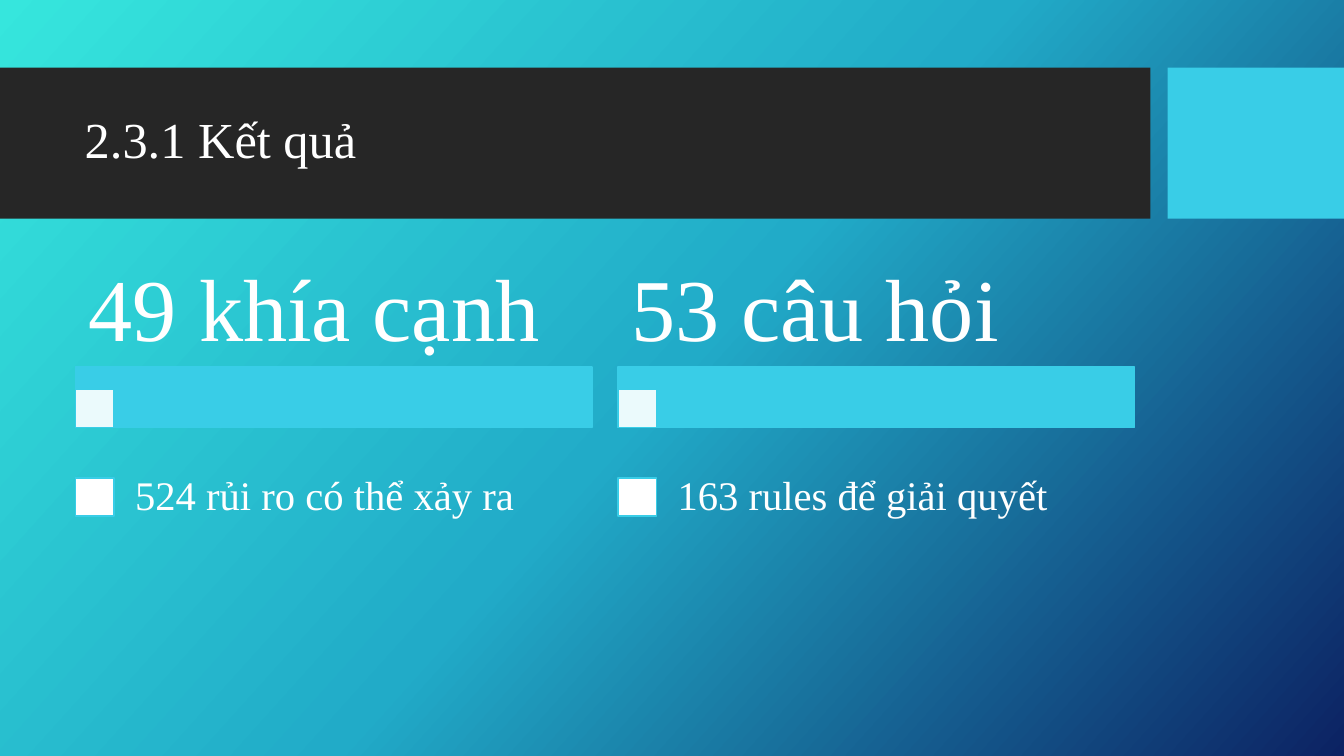
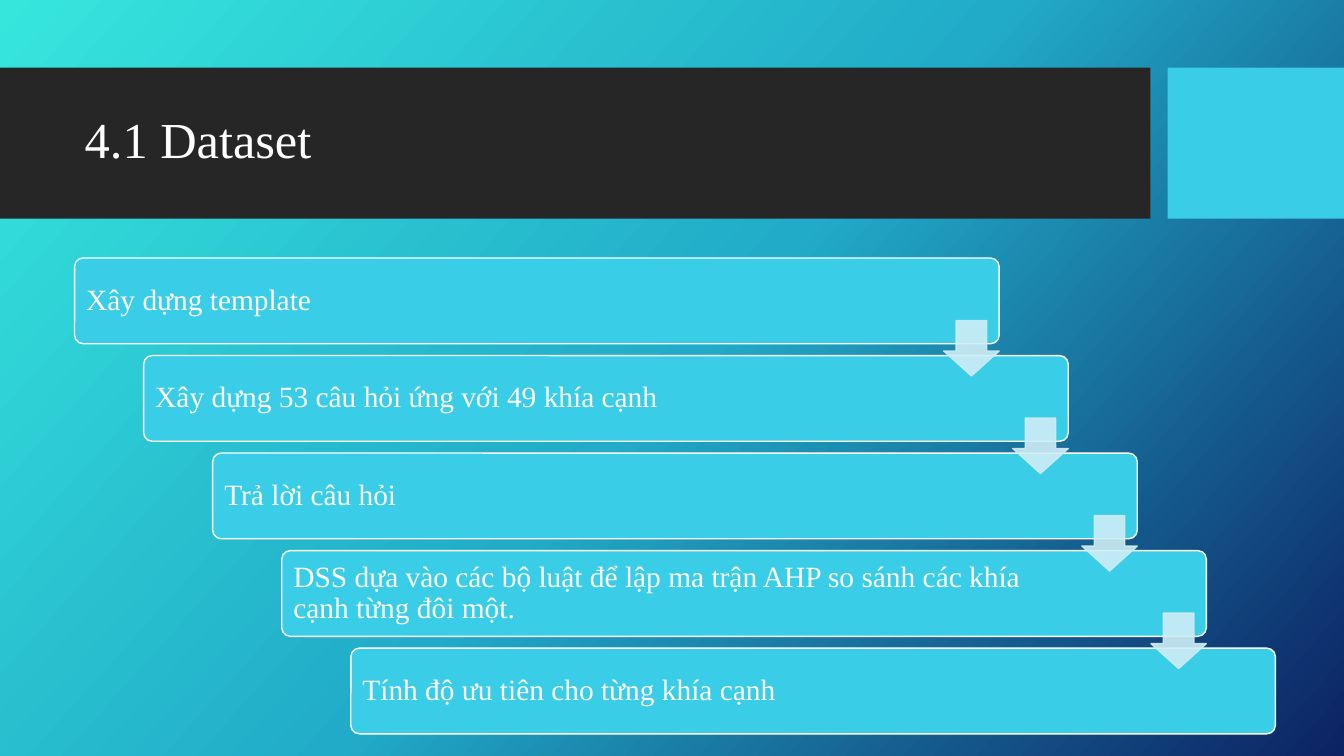
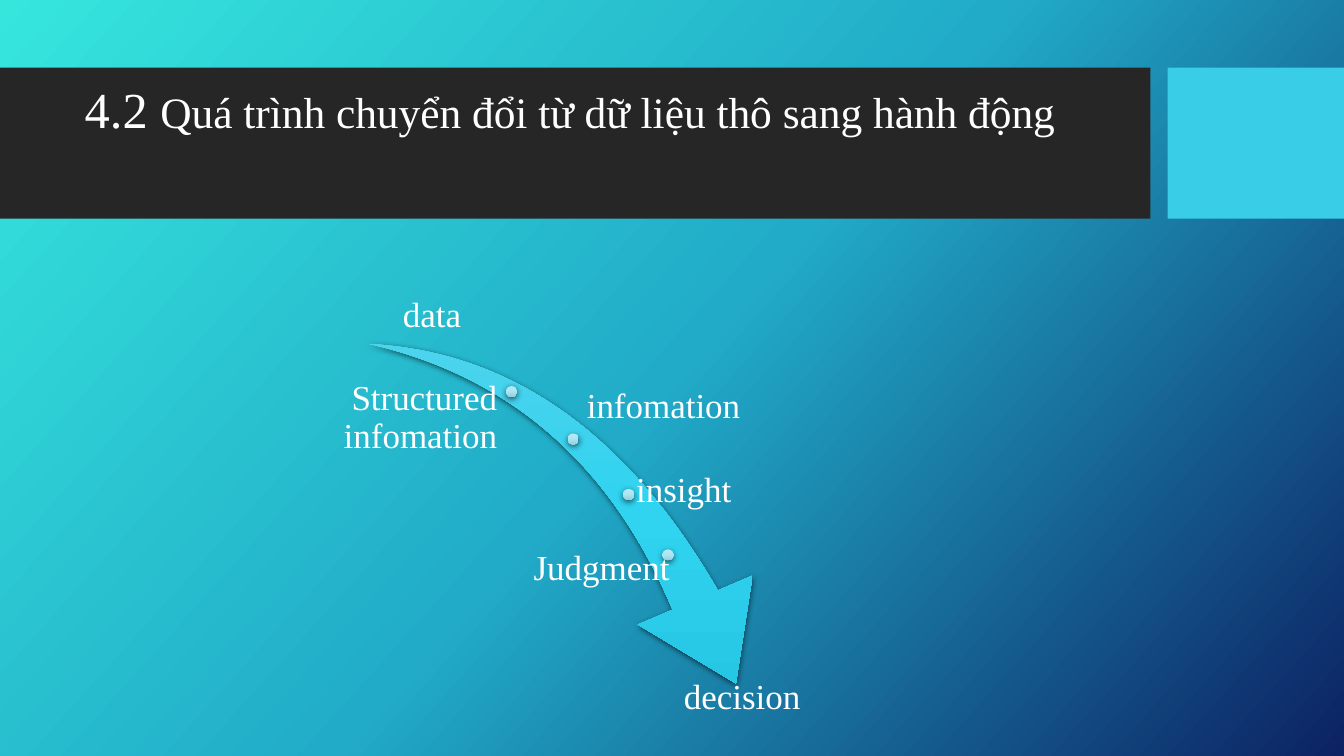
from lxml.etree import SubElement
from pptx import Presentation
from pptx.dml.color import RGBColor
from pptx.enum.shapes import MSO_SHAPE
from pptx.enum.text import MSO_ANCHOR, MSO_AUTO_SIZE, PP_ALIGN
from pptx.oxml.ns import qn
from pptx.util import Inches, Pt

# Shared look
FONT = "Times New Roman"
WHITE, DARK, CYAN, PALE = "FFFFFF", "262626", "39CDE7", "CEEDF6"
BACKGROUND = [(0, "36E6DD"), (50, "21ABC8"), (100, "0C2263")]
SWOOSH = [(0, "5DD3EB"), (50, "30D3F0"), (100, "21C2DF")]
DOT = [(0, "BBE8F4"), (50, "ABE5F4"), (100, "94CEDD")]
BANDS = [((0, 0.67, 11.41, 1.5), DARK), ((11.58, 0.67, 1.75, 1.5), CYAN)]
TITLE_BOX = (0.74, 0.82, 10.51, 1.18)

# Content
RESULTS_TITLE = "2.3.1 Kết quả"
RESULTS = [
    ("49 khía cạnh", "524 rủi ro có thể xảy ra"),
    ("53 câu hỏi", "163 rules để giải quyết"),
]
DATASET_TITLE = "4.1 Dataset"
STEPS = [
    "Xây dựng template",
    "Xây dựng 53 câu hỏi ứng với 49 khía cạnh",
    "Trả lời câu hỏi",
    "DSS dựa vào các bộ luật để lập ma trận AHP so sánh các khía cạnh từng đôi một.",
    "Tính độ ưu tiên cho từng khía cạnh",
]
PROCESS_NUMBER = "4.2 "
PROCESS_TITLE = "Quá trình chuyển đổi từ dữ liệu thô sang hành động"
DOTS = [(5.02, 3.83), (5.63, 4.3), (6.18, 4.85), (6.57, 5.45)]
LABELS = [  # text, left, top, width, alignment, anchor
    ("data", 3.28, 2.56, 2.01, PP_ALIGN.CENTER, MSO_ANCHOR.BOTTOM),
    ("infomation", 5.79, 3.64, 2.99, PP_ALIGN.LEFT, MSO_ANCHOR.MIDDLE),
    ("Structured infomation", 2.95, 3.75, 2.01, PP_ALIGN.RIGHT, MSO_ANCHOR.MIDDLE),
    ("insight", 6.28, 4.48, 2.01, PP_ALIGN.LEFT, MSO_ANCHOR.MIDDLE),
    ("Judgment", 3.68, 5.25, 2.99, PP_ALIGN.RIGHT, MSO_ANCHOR.MIDDLE),
    ("decision", 6, 6.71, 2.72, PP_ALIGN.CENTER, MSO_ANCHOR.TOP),
]


def color(value):
    return RGBColor.from_string(value)


def inches(box):
    return [Inches(length) for length in box]


def set_solid(fill, element, value, opacity=100):
    fill.solid()
    fill.fore_color.rgb = color(value)
    if opacity < 100:
        for rgb in element.iter(qn("a:srgbClr")):
            if rgb.find(qn("a:alpha")) is None:
                SubElement(rgb, qn("a:alpha"), val=str(opacity * 1000))


def set_gradient(fill, element, stops, angle):
    fill.gradient()
    fill.gradient_angle = 360 - angle
    gradient = next(element.iter(qn("a:gradFill")))
    gradient.set("rotWithShape", "0")
    stop_list = gradient.find(qn("a:gsLst"))
    for stop in list(stop_list):
        stop_list.remove(stop)
    for position, value in stops:
        stop = SubElement(stop_list, qn("a:gs"), pos=str(position * 1000))
        SubElement(stop, qn("a:srgbClr"), val=value)


def add_box(slide, kind, box, fill=None, line=None, opacity=100, adjustments=()):
    shape = slide.shapes.add_shape(kind, *inches(box))
    shape.shadow.inherit = False
    for index, value in enumerate(adjustments):
        shape.adjustments[index] = value
    if fill:
        set_solid(shape.fill, shape.element, fill, opacity)
    if line:
        set_solid(shape.line.fill, shape.element, line, opacity)
        shape.line.width = Pt(1)
    else:
        shape.line.fill.background()
    return shape


def add_glossy(slide, kind, box, stops, adjustments=()):
    shape = add_box(slide, kind, box, adjustments=adjustments)
    set_gradient(shape.fill, shape.element, stops, 90)
    effects = next(shape.element.iter(qn("a:effectLst")))
    shadow = SubElement(effects, qn("a:outerShdw"), blurRad=str(Pt(4.5)),
                        dist=str(Pt(1.5)), dir="5400000", rotWithShape="0")
    black = SubElement(shadow, qn("a:srgbClr"), val="000000")
    SubElement(black, qn("a:alpha"), val="63000")
    return shape


def style_paragraph(paragraph, size, alignment=PP_ALIGN.LEFT):
    paragraph.alignment = alignment
    paragraph.line_spacing = 0.9
    paragraph.font.name = FONT
    paragraph.font.size = Pt(size)
    paragraph.font.color.rgb = color(WHITE)


def write(shape, text, size, margins, alignment=PP_ALIGN.LEFT, anchor=MSO_ANCHOR.MIDDLE):
    frame = shape.text_frame
    frame.word_wrap = True
    frame.vertical_anchor = anchor
    (frame.margin_left, frame.margin_top,
     frame.margin_right, frame.margin_bottom) = inches(margins)
    frame.text = text
    style_paragraph(frame.paragraphs[0], size, alignment)


def add_text(slide, box, *args):
    write(slide.shapes.add_textbox(*inches(box)), *args)


def add_slide(presentation, title):
    slide = presentation.slides.add_slide(presentation.slide_layouts[5])
    frame = slide.shapes.title.text_frame
    frame.text = title
    frame.auto_size = MSO_AUTO_SIZE.NONE
    frame.vertical_anchor = MSO_ANCHOR.MIDDLE
    style_paragraph(frame.paragraphs[0], 36)
    return slide


def set_up_master(presentation, slide):
    """Give the master its background, title position and bands."""
    master = presentation.slide_master
    set_gradient(master.background.fill, master.element, BACKGROUND, 42)
    title = master.placeholders[0]
    title.left, title.top, title.width, title.height = inches(TITLE_BOX)
    for index, (box, fill) in enumerate(BANDS):
        band = add_box(slide, MSO_SHAPE.RECTANGLE, box, fill).element
        band.nvSpPr.cNvPr.set("id", str(101 + index))
        master.shapes.element.insert(2 + index, band)


def fill_results(slide):
    for column, (heading, detail) in enumerate(RESULTS):
        left = 0.75 + 5.38 * column
        add_box(slide, MSO_SHAPE.RECTANGLE, (left, 3.64, 5.12, 0.6), CYAN, CYAN)
        for top, opacity in [(3.86, 90), (4.74, 100)]:
            square = add_box(slide, MSO_SHAPE.RECTANGLE, (left, top, 0.38, 0.38), CYAN, CYAN)
            set_solid(square.fill, square.element.spPr.find(qn("a:solidFill")), WHITE)
            if opacity < 100:
                rgb = next(square.element.spPr.find(qn("a:solidFill")).iter(qn("a:srgbClr")))
                SubElement(rgb, qn("a:alpha"), val=str(opacity * 1000))
        add_text(slide, (left, 2.56, 5.12, 1.08), heading, 63, (0.13, 0.09, 0.13, 0.09))
        add_text(slide, (left + 0.36, 4.49, 4.76, 0.88), detail, 29, (0.23,) * 4)


def fill_dataset(slide):
    width, height, arrow = 9.17, 0.85, 0.55
    last = len(STEPS) - 1
    places = [(0.74 + (3.48 - 0.74) * index / last, 2.56 + (6.43 - 2.56) * index / last)
              for index in range(len(STEPS))]
    for text, (left, top) in zip(STEPS, places):
        step = add_box(slide, MSO_SHAPE.ROUNDED_RECTANGLE, (left, top, width, height),
                       CYAN, WHITE, adjustments=[0.1])
        write(step, text, 21, (0.09, 0.09, 1.33, 0.09))
    # Arrows overlap the lower right corner of each step but the last
    for left, top in places[:-1]:
        add_box(slide, MSO_SHAPE.DOWN_ARROW, (left + width - arrow, top + 0.62, arrow, arrow),
                PALE, PALE, 90, [0.55, 0.45])


def fill_process(slide):
    # Title with a smaller second part and an empty last line
    paragraph = slide.shapes.title.text_frame.paragraphs[0]
    run = paragraph.add_run()
    run.text = PROCESS_TITLE
    run.font.size = Pt(31)
    paragraph.add_line_break()
    # Curved arrow with dots and labels
    swoosh = add_glossy(slide, MSO_SHAPE.SWOOSH_ARROW, (3.57, 3.54, 4.27, 2.98),
                        SWOOSH, [0.163, 0.314])
    swoosh.rotation = 73.3
    for left, top in DOTS:
        add_glossy(slide, MSO_SHAPE.OVAL, (left, top, 0.11, 0.11), DOT)
    for text, left, top, width, alignment, anchor in LABELS:
        add_text(slide, (left, top, width, 0.79), text, 25, (0.03,) * 4, alignment, anchor)


def main():
    presentation = Presentation()
    presentation.slide_width, presentation.slide_height = inches((13.33, 7.5))
    results = add_slide(presentation, RESULTS_TITLE)
    set_up_master(presentation, results)
    fill_results(results)
    fill_dataset(add_slide(presentation, DATASET_TITLE))
    fill_process(add_slide(presentation, PROCESS_NUMBER))
    presentation.save("out.pptx")


if __name__ == "__main__":
    main()
